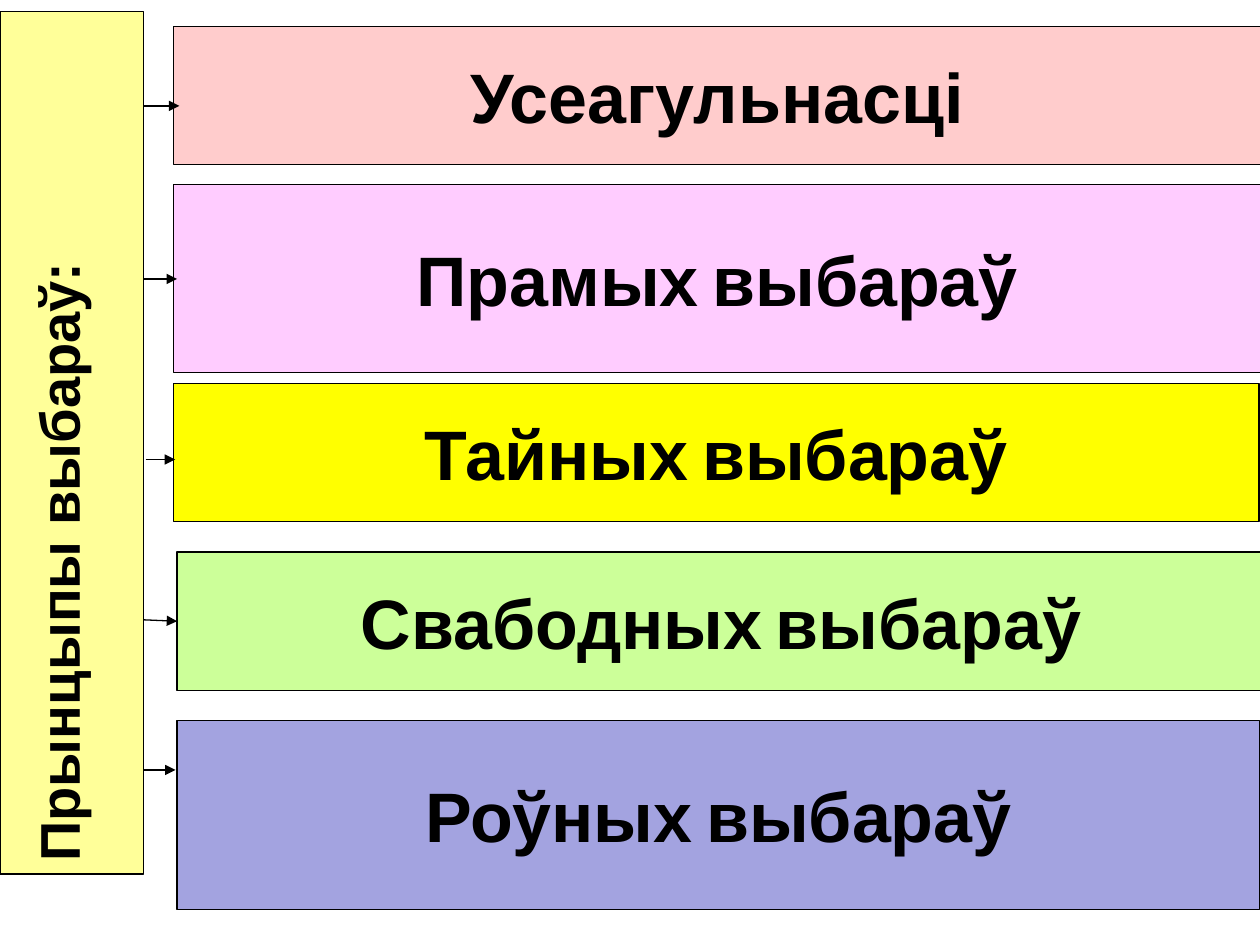
from lxml import etree
from pptx import Presentation
from pptx.dml.color import RGBColor
from pptx.enum.shapes import MSO_CONNECTOR, MSO_SHAPE
from pptx.enum.text import MSO_ANCHOR, PP_ALIGN
from pptx.oxml.ns import qn
from pptx.util import Pt

RECT = MSO_SHAPE.RECTANGLE
STRAIGHT = MSO_CONNECTOR.STRAIGHT
MIDDLE = MSO_ANCHOR.MIDDLE
CENTER = PP_ALIGN.CENTER
LEFT_SIDE = 1
BLACK = "000000"
LINE_WIDTH = 0.75

SIDEBAR_BOX = (0, 6.5, 82, 493)
# words, fill, box (left, top, width, height), arrow (from x, from y, to x, to y), joined
PRINCIPLES = [
    (["Усеагульнасці"], "FFCCCC", (99, 15, 621.5, 79), (104.5 - 22, 60.5, 102.5, 60.5), False),
    (["Прамых", "выбараў"], "FFCCFF", (99, 105.5, 621.5, 107.5), (82.5, 159.4, 101.2, 159.4), False),
    (["Тайных", "выбараў"], "FFFF00", (99, 219, 620.5, 79), (83.2, 262.6, 100.1, 262.6), False),
    (["Свабодных", "выбараў"], "CCFF99", (101.2, 315.5, 621.5, 79), (82.2, 354.2, 101.2, 355), True),
    (["Роўных", "выбараў"], "A3A3E0", (101.2, 411.6, 618.5, 108), (82.5, 440, 100.3, 440), False),
]


def color(hex_string):
    return RGBColor.from_string(hex_string)


def add_run(paragraph, text, size=40, bold=True, font="Arial", fill=BLACK):
    run = paragraph.add_run()
    run.text = text
    run.font.name = font
    run.font.size = Pt(size)
    run.font.bold = bold
    run.font.color.rgb = color(fill)


def add_panel(slide, box, fill, margins):
    """Outlined rectangle with centred, unwrapped text."""
    panel = slide.shapes.add_shape(RECT, *map(Pt, box))
    panel.shadow.inherit = False
    panel.fill.solid()
    panel.fill.fore_color.rgb = color(fill)
    panel.line.color.rgb = color(BLACK)
    panel.line.width = Pt(LINE_WIDTH)
    frame = panel.text_frame
    frame.word_wrap = False
    frame.vertical_anchor = MIDDLE
    frame.margin_left = frame.margin_right = Pt(margins[0])
    frame.margin_top = frame.margin_bottom = Pt(margins[1])
    frame.paragraphs[0].alignment = CENTER
    return panel


def add_sidebar(slide, box):
    sidebar = add_panel(slide, box, "FFFF99", (3.6, 7.2))
    # Vertical text turned upside down reads from bottom to top
    sidebar.rotation = 180
    sidebar.text_frame._txBody.bodyPr.set("vert", "eaVert")
    heading = sidebar.text_frame.paragraphs[0]
    heading.line_spacing = Pt(22)
    add_run(heading, "Прынцыпы выбараў:", size=32)


def add_principle(slide, box, words, fill):
    principle = add_panel(slide, box, fill, (7.2, 3.6))
    paragraph = principle.text_frame.paragraphs[0]
    for index, word in enumerate(words):
        if index:
            add_run(paragraph, " ", size=28)
        add_run(paragraph, word)
    return principle


def add_arrow(slide, ends):
    arrow = slide.shapes.add_connector(STRAIGHT, *map(Pt, ends))
    arrow.line.color.rgb = color(BLACK)
    arrow.line.width = Pt(LINE_WIDTH)
    etree.SubElement(arrow.line._get_or_add_ln(), qn("a:tailEnd"), type="triangle")
    etree.SubElement(arrow._element.spPr, qn("a:effectLst"))
    return arrow


def main():
    presentation = Presentation()
    presentation.slide_width, presentation.slide_height = Pt(720), Pt(540)
    slide = presentation.slides.add_slide(presentation.slide_layouts[6])

    add_sidebar(slide, SIDEBAR_BOX)
    for words, fill, box, arrow_ends, joined in PRINCIPLES:
        principle = add_principle(slide, box, words, fill)
        arrow = add_arrow(slide, arrow_ends)
        if joined:
            arrow.end_connect(principle, LEFT_SIDE)

    presentation.save("out.pptx")


if __name__ == "__main__":
    main()
